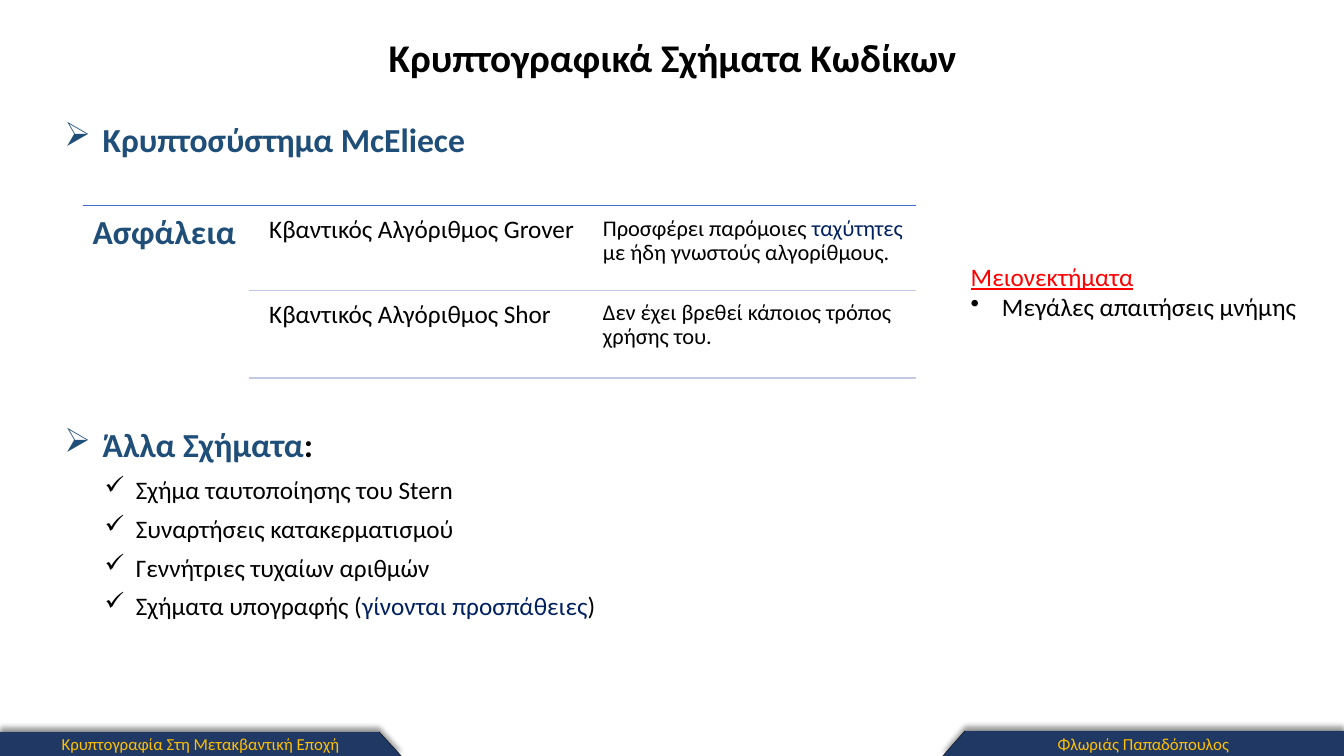
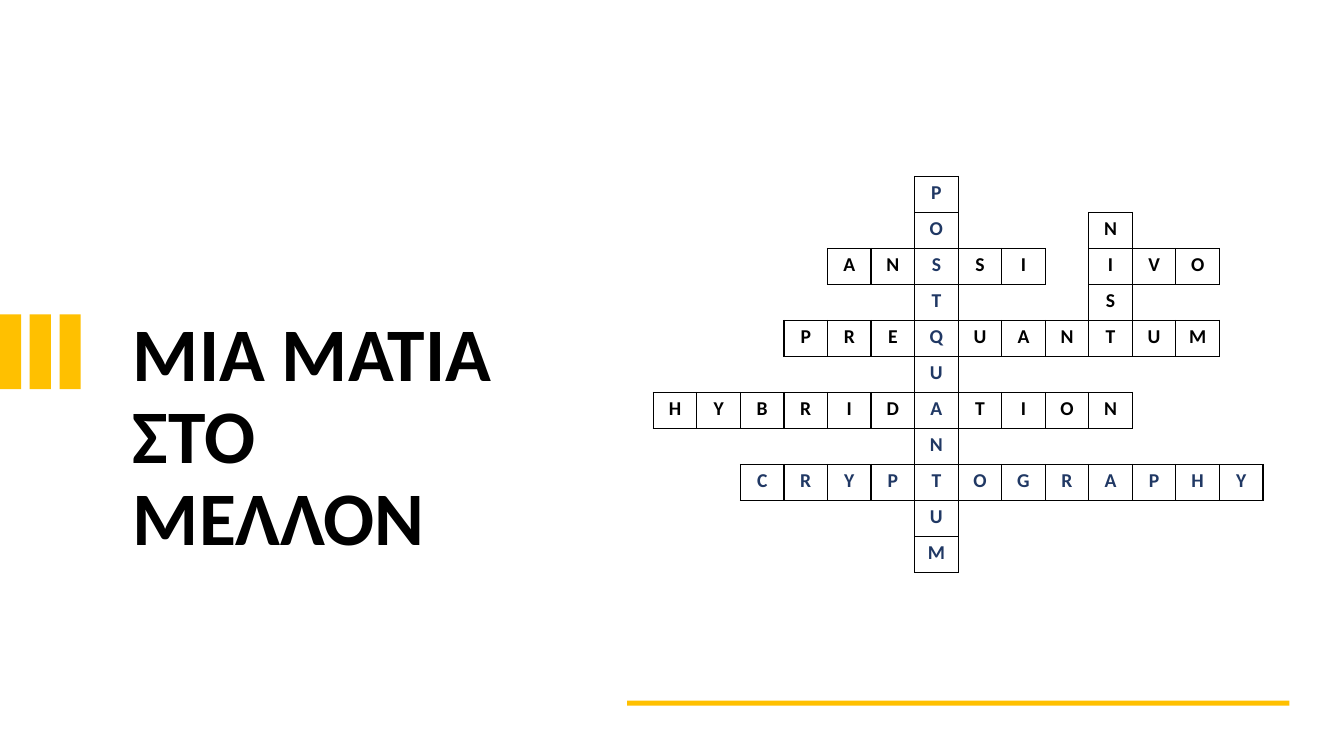
"""Builds two slides on code-based cryptography and a section opener with a crossword."""
from lxml import etree
from pptx import Presentation
from pptx.dml.color import RGBColor
from pptx.enum.shapes import MSO_CONNECTOR, MSO_SHAPE
from pptx.enum.text import MSO_ANCHOR, MSO_AUTO_SIZE, PP_ALIGN
from pptx.oxml.ns import qn
from pptx.util import Inches, Pt

STRAIGHT = MSO_CONNECTOR.STRAIGHT
RECTANGLE = MSO_SHAPE.RECTANGLE
MIDDLE = MSO_ANCHOR.MIDDLE
FIT, FIXED = MSO_AUTO_SIZE.SHAPE_TO_FIT_TEXT, MSO_AUTO_SIZE.NONE
LEFT, CENTER = PP_ALIGN.LEFT, PP_ALIGN.CENTER

FONT = "Calibri"
COLOURS = {
    "black": "000000",
    "heading": "1F4E79",
    "accent": "002060",
    "navy": "203864",
    "gold": "FFC000",
    "red": "FF0000",
    "rule": "4472C4",
    "pale": "C1C9E4",
}
WIDTH, HEIGHT = 13.33, 7.5
ROWS, COLUMNS = 11, 14
ACROSS, DOWN = (0, 1), (1, 0)
WORDS = [
    ("NIST", 1, 10, DOWN, "black"),
    ("ANSSI", 2, 4, ACROSS, "black"),
    ("IVO", 2, 10, ACROSS, "black"),
    ("PREQUANTUM", 4, 3, ACROSS, "black"),
    ("HYBRIDATION", 6, 0, ACROSS, "black"),
    ("CRYPTOGRAPHY", 8, 2, ACROSS, "navy"),
    ("POSTQUANTUM", 0, 6, DOWN, "navy"),
]
SIDES = {"a:lnL": (0, -1), "a:lnR": (0, 1), "a:lnT": (-1, 0), "a:lnB": (1, 0)}


def rgb(name):
    return RGBColor.from_string(COLOURS[name])


def add_child(parent, tag, **attributes):
    child = etree.SubElement(parent, qn(tag))
    for key, value in attributes.items():
        child.set(key, str(value))
    return child


def add_solid(parent, colour):
    fill = add_child(parent, "a:solidFill")
    return add_child(fill, "a:srgbClr", val=COLOURS[colour])


def style(para, size, colour="black", bold=False, align=LEFT):
    para.alignment = align
    font = para.font
    font.name, font.size, font.bold = FONT, Pt(size), bold
    font.color.rgb = rgb(colour)


def add_bullet(para, symbol, indent):
    properties = para._p.get_or_add_pPr()
    properties.set("marL", str(Inches(indent)))
    properties.set("indent", str(-Inches(indent)))
    add_child(properties, "a:buChar", char=symbol)


def fill_para(para, spans, size, colour="black", bold=False, align=LEFT,
              bullet=None, indent=0.31, spacing=None, after=None):
    if spacing:
        para.line_spacing = spacing
    if after:
        para.space_after = Pt(after)
    if bullet:
        add_bullet(para, bullet, indent)
    style(para, size, colour, bold, align)
    for text, tint in spans:
        span = para.add_run()
        span.text = text
        if tint != colour:
            span.font.color.rgb = rgb(tint)


def add_text(page, box, paras, wrap=True, inset=None):
    left, top, width, height = map(Inches, box)
    frame = page.shapes.add_textbox(left, top, width, height).text_frame
    frame.word_wrap = wrap
    frame.auto_size = FIXED if wrap else FIT
    if inset is not None:
        frame.margin_left = frame.margin_right = Inches(inset)
        frame.margin_top = frame.margin_bottom = Inches(inset)
    for index, options in enumerate(paras):
        para = frame.add_paragraph() if index else frame.paragraphs[0]
        fill_para(para, **options)
    return frame


def add_line(page, start, end, colour, weight=1):
    line = page.shapes.add_connector(STRAIGHT, *map(Inches, start + end))
    line.line.color.rgb = rgb(colour)
    line.line.width = Pt(weight)
    add_child(line._element.spPr, "a:effectLst")


def add_bar(page, left, top, width, height):
    bar = page.shapes.add_shape(RECTANGLE, *map(Inches, (left, top, width, height)))
    bar.shadow.inherit = False
    bar.fill.solid()
    bar.fill.fore_color.rgb = rgb("gold")
    bar.line.fill.background()


def add_footer_tab(page, text, outer, shoulder, tip, top):
    corners = [(outer, top), (shoulder, top), (tip, HEIGHT), (outer, HEIGHT)]
    points = [(Inches(x), Inches(y)) for x, y in corners]
    builder = page.shapes.build_freeform(*points[0])
    builder.add_line_segments(points[1:], close=True)
    tab = builder.convert_to_shape()
    tab.fill.solid()
    tab.fill.fore_color.rgb = rgb("navy")
    tab.line.fill.background()
    effects = add_child(tab._element.spPr, "a:effectLst")
    shadow = add_child(effects, "a:outerShdw", blurRad=Pt(4), dist=Pt(3),
                       dir=270 * 60000, algn="b", rotWithShape=0)
    add_child(add_child(shadow, "a:srgbClr", val=COLOURS["black"]), "a:alpha", val=40000)
    frame = tab.text_frame
    frame.vertical_anchor = MIDDLE
    fill_para(frame.paragraphs[0], [(text, "gold")], 12, "gold", align=CENTER)
    add_line(page, (shoulder, top), (tip, HEIGHT), "black", 0.25)


def add_footer(page):
    add_footer_tab(page, "Φλωριάς Παπαδόπουλος", WIDTH, 9.57, 9.35, 7.25)
    add_footer_tab(page, "Κρυπτογραφία Στη Μετακβαντική Εποχή", 0, 3.76, 3.98, 7.26)


def add_heading(page, top, width, spans):
    add_text(page, (0.54, top, width, 0.5),
             [dict(spans=spans, size=24, colour="heading", bold=True,
                   bullet="➢", indent=0.38)], wrap=False)


def add_security_grid(page):
    add_line(page, (0.82, 2.04), (9.09, 2.04), "rule")
    add_text(page, (0.82, 2.04, 1.66, 1.71),
             [dict(spans=[("Ασφάλεια", "heading")], size=24, colour="heading",
                   bold=True, spacing=0.9)], inset=0.1)
    rows = [
        ("Κβαντικός Αλγόριθμος Grover",
         [("Προσφέρει παρόμοιες ", "black"), ("ταχύτητες ", "accent"),
          ("με ήδη γνωστούς αλγορίθμους.", "black")], 2.08, 2.88),
        ("Κβαντικός Αλγόριθμος Shor",
         [("Δεν έχει βρεθεί κάποιος τρόπος χρήσης του.", "black")], 2.92, 3.75),
    ]
    for name, finding, top, bottom in rows:
        for left, spans, size in ((2.6, [(name, "black")], 18), (5.91, finding, 16)):
            add_text(page, (left, top, 3.19, 0.79),
                     [dict(spans=spans, size=size, spacing=0.9)], inset=0.07)
        add_line(page, (2.47, bottom), (9.09, bottom), "pale")


def add_border(cell, tag, visible):
    line = add_child(cell._tc.get_or_add_tcPr(), tag, w=Pt(1) if visible else 0)
    if visible:
        add_solid(line, "black")
    else:
        add_child(line, "a:noFill")


def outline_letters(para, colour):
    line = etree.Element(qn("a:ln"), w=str(Pt(0.75)))
    add_solid(line, colour)
    para._p.pPr.find(qn("a:defRPr")).insert(0, line)


def place_letters():
    return {(row + step * down, column + step * right): (letter, colour)
            for word, row, column, (down, right), colour in WORDS
            for step, letter in enumerate(word)}


def add_crossword(page):
    letters = place_letters()
    box = map(Inches, (6.48, 1.75, 6.05, 3.93))
    table = page.shapes.add_table(ROWS, COLUMNS, *box).table
    table.first_row = table.horz_banding = False
    for row in range(ROWS):
        for column in range(COLUMNS):
            cell = table.cell(row, column)
            here = (row, column)
            for tag, (down, right) in SIDES.items():
                add_border(cell, tag, here in letters or (row + down, column + right) in letters)
            cell.fill.background()
            cell.margin_left = cell.margin_right = Inches(0.08)
            cell.margin_top, cell.margin_bottom = Inches(0.04), 0
            para = cell.text_frame.paragraphs[0]
            letter, colour = letters.get(here, ("", "black"))
            if letter:
                fill_para(para, [(letter, colour)], 14, colour, True, CENTER)
                outline_letters(para, colour)
            else:
                style(para, 14)


def build_schemes(page):
    add_text(page, (3.72, 0.28, 5.9, 0.57),
             [dict(spans=[("Κρυπτογραφικά Σχήματα Κωδίκων", "black")], size=28,
                   bold=True, align=CENTER)], wrap=False)
    add_security_grid(page)
    drawbacks = add_text(page, (9.53, 2.54, 3.47, 0.71), [
        dict(spans=[("Μειονεκτήματα", "red")], size=18, colour="red"),
        dict(spans=[("Μεγάλες απαιτήσεις μνήμης", "black")], size=18, bullet="•"),
    ], wrap=False)
    drawbacks.paragraphs[0].font.underline = True
    add_heading(page, 1.13, 4.21, [("Κρυπτοσύστημα McEliece", "heading")])
    add_heading(page, 4.16, 2.68, [("Άλλα Σχήματα", "heading"), (":", "black")])
    schemes = [
        [("Σχήμα ταυτοποίησης του Stern", "black")],
        [("Συναρτήσεις κατακερματισμού", "black")],
        [("Γεννήτριες τυχαίων αριθμών", "black")],
        [("Σχήματα υπογραφής (", "black"), ("γίνονται προσπάθειες", "accent"), (")", "black")],
    ]
    add_text(page, (0.94, 4.66, 5.13, 1.57),
             [dict(spans=spans, size=18, bullet="✓", after=6) for spans in schemes],
             wrap=False)
    add_footer(page)


def build_section(page):
    add_text(page, (1.22, 3.09, 4.41, 2.61),
             [dict(spans=[("ΜΙΑ ΜΑΤΙΑ ΣΤΟ ΜΕΛΛΟΝ", "black")], size=54, bold=True,
                   spacing=0.9)])
    add_crossword(page)
    add_bar(page, 6.22, 6.95, 6.57, 0.05)
    for index in range(3):
        add_bar(page, index * 0.295, 3.12, 0.21, 0.74)


def main():
    deck = Presentation()
    deck.slide_width, deck.slide_height = Inches(WIDTH), Inches(HEIGHT)
    blank = deck.slide_layouts[6]
    for build in (build_schemes, build_section):
        build(deck.slides.add_slide(blank))
    deck.save("out.pptx")


if __name__ == "__main__":
    main()
